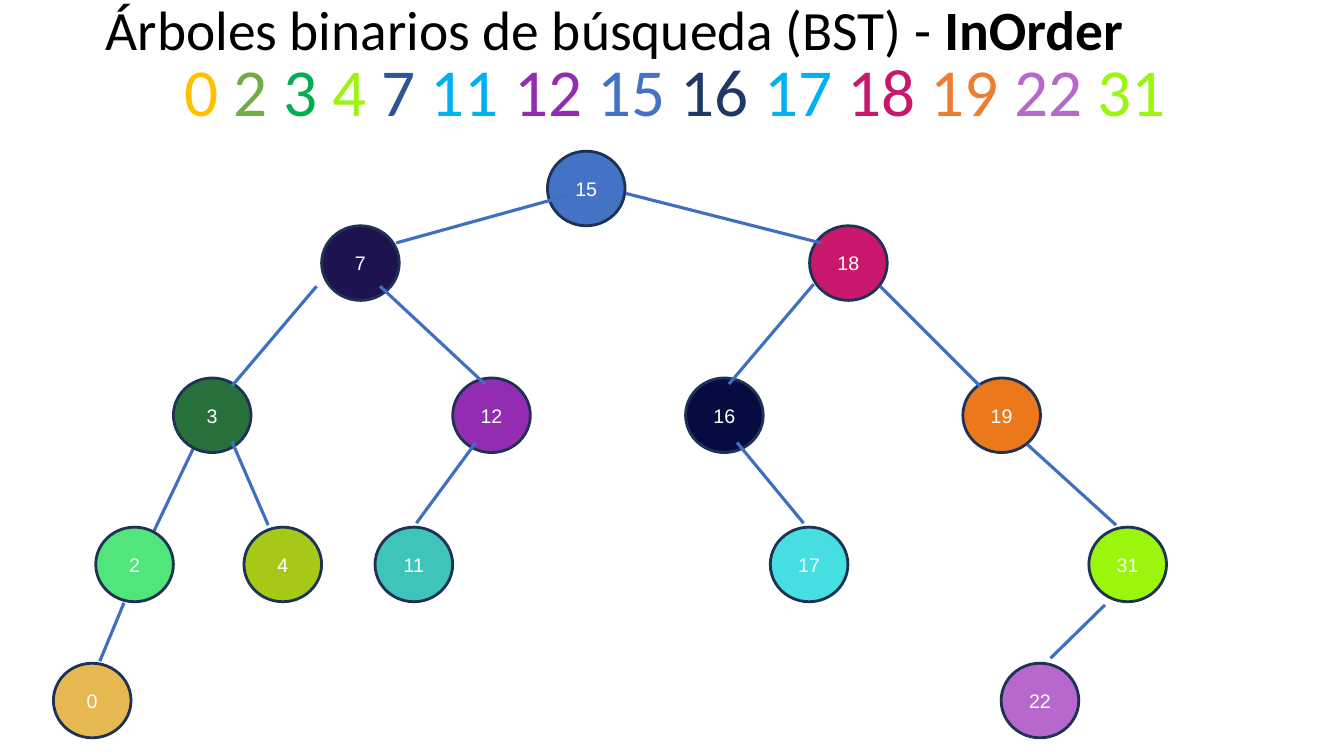
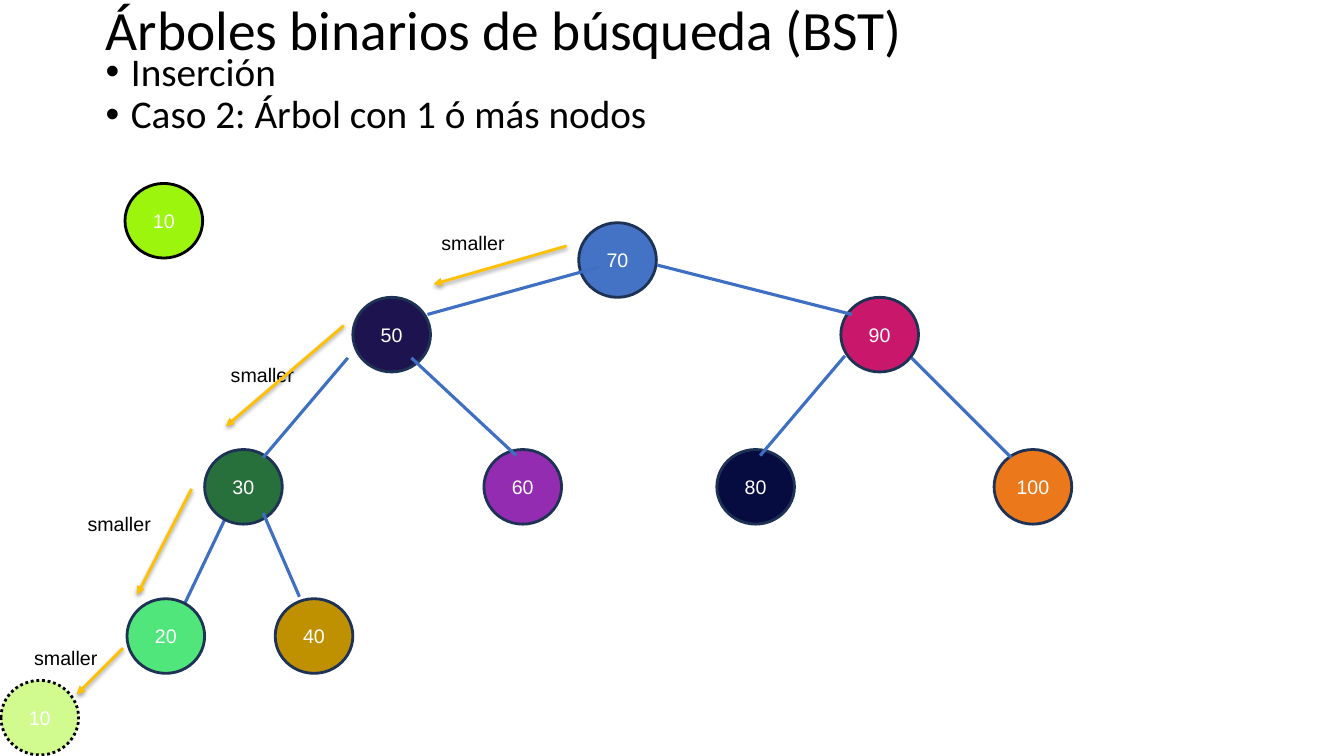
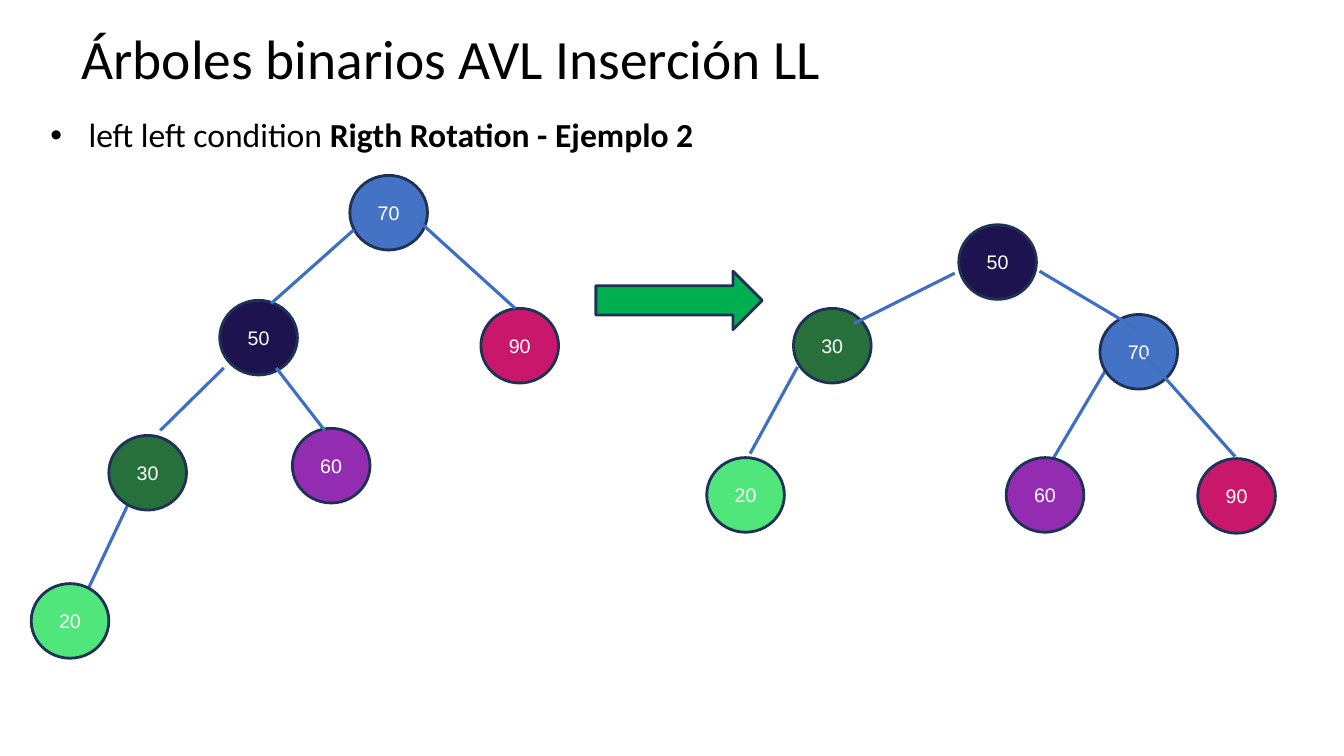
import pptx
import pptx.dml.color
import pptx.enum.dml
import pptx.enum.shapes
import pptx.enum.text
import pptx.oxml
import pptx.oxml.ns
import pptx.util
from lxml import etree

RGB = pptx.dml.color.RGBColor
SHAPE = pptx.enum.shapes.MSO_SHAPE
ALIGN = pptx.enum.text.PP_ALIGN
ANCHOR = pptx.enum.text.MSO_ANCHOR
PT = pptx.util.Pt
QN = pptx.oxml.ns.qn

SCALE = 9144
NODE_WIDTH, NODE_HEIGHT = 77, 74

BLACK = RGB(0x00, 0x00, 0x00)
WHITE = RGB(0xFF, 0xFF, 0xFF)
OUTLINE = RGB(0x1E, 0x32, 0x56)
EDGE = RGB(0x3F, 0x6F, 0xC3)
BLUE = RGB(0x44, 0x72, 0xC4)
STEEL = RGB(0x2F, 0x55, 0x97)
NAVY = RGB(0x20, 0x38, 0x64)
MIDNIGHT = RGB(0x06, 0x0B, 0x40)
INDIGO = RGB(0x1D, 0x14, 0x4F)
CRIMSON = RGB(0xC9, 0x18, 0x6B)
PURPLE = RGB(0x93, 0x2C, 0xB0)
LILAC = RGB(0xB6, 0x68, 0xCC)
FOREST = RGB(0x27, 0x70, 0x3C)
GREEN = RGB(0x00, 0xB0, 0x50)
LEAF = RGB(0x70, 0xAD, 0x47)
MINT = RGB(0x50, 0xE6, 0x7B)
OLIVE = RGB(0xA6, 0xC9, 0x18)
LIME = RGB(0x9C, 0xF5, 0x0C)
TEAL = RGB(0x3F, 0xC4, 0xB9)
CYAN = RGB(0x46, 0xDE, 0xE0)
SKY = RGB(0x00, 0xB0, 0xF0)
ORANGE = RGB(0xEB, 0x78, 0x1A)
PUMPKIN = RGB(0xED, 0x7D, 0x31)
SAND = RGB(0xE6, 0xB9, 0x50)
BRONZE = RGB(0xBF, 0x90, 0x00)
GOLD = RGB(0xFF, 0xC0, 0x00)

TITLE = {"name": "Calibri", "size": PT(39.6)}
SEQUENCE = {"name": "Calibri", "size": PT(48)}
BODY = {"name": "Calibri", "size": PT(28)}
SMALL_BODY = {"name": "Calibri", "size": PT(24)}
LABEL = {"name": "Arial", "size": PT(14)}
BOLD = {"bold": True}

BASE_NODES = [
    (543, 150, BLUE), (803, 224, CRIMSON), (680, 375, MIDNIGHT),
    (449, 375, PURPLE), (172, 375, FOREST), (319, 224, INDIGO),
    (955, 375, ORANGE), (95, 523, MINT),
]
BASE_BEHIND = (195, 438, 145, 543)
BASE_EDGES = [
    (563, 194, 393, 241), (314, 284, 230, 383), (230, 438, 266, 521),
    (377, 284, 481, 381), (621, 192, 814, 241), (807, 282, 723, 381),
    (873, 284, 972, 383),
]
VALUE_FILLS = {70: BLUE, 90: CRIMSON, 60: PURPLE, 30: FOREST, 50: INDIGO, 20: MINT}

SHADOW = (
    '<a:effectLst xmlns:a="http://schemas.openxmlformats.org/drawingml/2006/main">'
    '<a:outerShdw blurRad="40000" dist="20000" dir="5400000" rotWithShape="0">'
    '<a:srgbClr val="000000"><a:alpha val="38000"/></a:srgbClr>'
    '</a:outerShdw></a:effectLst>'
)


def px(*lengths):
    return [pptx.util.Emu(length * SCALE) for length in lengths]


def write(para, text, color, *formats):
    span = para.add_run()
    span.text = text
    for values in formats:
        for name, value in values.items():
            setattr(span.font, name, value)
    span.font.color.rgb = color


def add_box(page, place, anchor=ANCHOR.TOP):
    box = page.shapes.add_textbox(*px(*place))
    frame = box.text_frame
    frame.word_wrap = True
    frame.vertical_anchor = anchor
    return frame


def add_title(page, left, top, text, bold_text=""):
    para = add_box(page, (left, top, 1147, 62), ANCHOR.MIDDLE).paragraphs[0]
    para.line_spacing = 0.9
    write(para, text, BLACK, TITLE)
    if bold_text:
        write(para, bold_text, BLACK, TITLE, BOLD)


def add_sequence(page, place, numbers):
    para = add_box(page, place, ANCHOR.MIDDLE).paragraphs[0]
    para.alignment = ALIGN.CENTER
    para.line_spacing = 0.9
    last = len(numbers) - 1
    for index, (number, color) in enumerate(numbers):
        write(para, f"{number} " if index < last else str(number), color, SEQUENCE)


def add_bullets(page, place, indent, style, items):
    frame = add_box(page, place)
    for index, (text, bold_text) in enumerate(items):
        para = frame.add_paragraph() if index else frame.paragraphs[0]
        para.alignment = ALIGN.JUSTIFY
        para.line_spacing = 0.9
        props = para._p.get_or_add_pPr()
        props.set("marL", str(indent * SCALE))
        props.set("indent", str(-indent * SCALE))
        color = etree.SubElement(props, QN("a:buClr"))
        etree.SubElement(color, QN("a:srgbClr"), val=str(BLACK))
        etree.SubElement(props, QN("a:buFont"), typeface="Arial")
        etree.SubElement(props, QN("a:buChar"), char="•")
        write(para, text, BLACK, style)
        if bold_text:
            write(para, bold_text, BLACK, style, BOLD)


def add_label(page, left, top, text):
    frame = add_box(page, (left, top, 104, 34))
    frame.auto_size = pptx.enum.text.MSO_AUTO_SIZE.SHAPE_TO_FIT_TEXT
    write(frame.paragraphs[0], text, BLACK, LABEL)


def add_solid(page, kind, place, fill, outline=OUTLINE):
    shape = page.shapes.add_shape(kind, *px(*place))
    shape.shadow.inherit = False
    shape.fill.solid()
    shape.fill.fore_color.rgb = fill
    shape.line.color.rgb = outline
    shape.line.width = PT(2)
    return shape


def add_node(page, value, left, top, fill, outline=OUTLINE):
    place = (left, top, NODE_WIDTH, NODE_HEIGHT)
    shape = add_solid(page, SHAPE.FLOWCHART_CONNECTOR, place, fill, outline)
    frame = shape.text_frame
    frame.word_wrap = False
    frame.vertical_anchor = ANCHOR.MIDDLE
    para = frame.paragraphs[0]
    para.alignment = ALIGN.CENTER
    write(para, str(value), WHITE, LABEL)
    return shape


def add_ghost_node(page, value, left, top, fill):
    shape = add_node(page, value, left, top, fill, BLACK)
    shape.line.dash_style = pptx.enum.dml.MSO_LINE.ROUND_DOT
    color = shape._element.spPr.find(QN("a:solidFill")).find(QN("a:srgbClr"))
    etree.SubElement(color, QN("a:alpha"), val="46000")


def add_line(page, ends, color, width):
    line = page.shapes.add_connector(pptx.enum.shapes.MSO_CONNECTOR.STRAIGHT, *px(*ends))
    line.line.color.rgb = color
    line.line.width = PT(width)
    return line


def add_edge(page, ends):
    line = add_line(page, ends, EDGE, 2.25)
    etree.SubElement(line._element.spPr, QN("a:effectLst"))


def add_step_arrow(page, ends):
    line = add_line(page, ends, GOLD, 2)
    props = line._element.spPr
    etree.SubElement(props.find(QN("a:ln")), QN("a:tailEnd"), type="triangle")
    props.append(pptx.oxml.parse_xml(SHADOW))


def add_tree(page, nodes, behind, edges):
    add_edge(page, behind)
    for node in nodes:
        add_node(page, *node)
    for ends in edges:
        add_edge(page, ends)


def add_base_tree(page, values, right=0, down=0, nodes=(), edges=()):
    def shift(ends):
        return [length + move for length, move in zip(ends, (right, down) * 2)]

    base = [
        (value, left + right, top + down, fill)
        for value, (left, top, fill) in zip(values, BASE_NODES)
    ]
    base_edges = [shift(ends) for ends in BASE_EDGES]
    add_tree(page, base + list(nodes), shift(BASE_BEHIND), base_edges + list(edges))


def add_value_tree(page, places, behind, edges):
    nodes = [(value, *place, VALUE_FILLS[value]) for value, place in places.items()]
    add_tree(page, nodes, behind, edges)


def build_in_order(page):
    add_title(page, 95, 1, "Árboles binarios de búsqueda (BST) - ", "InOrder")
    add_base_tree(
        page, [15, 18, 16, 12, 3, 7, 19, 2],
        nodes=[
            (0, 53, 658, SAND), (4, 242, 523, OLIVE), (11, 372, 523, TEAL),
            (22, 993, 658, LILAC), (31, 1080, 523, LIME), (17, 764, 523, CYAN),
        ],
        edges=[
            (123, 598, 99, 656), (472, 439, 413, 519), (1019, 441, 1107, 521),
            (731, 439, 797, 519), (1096, 600, 1042, 653),
        ],
    )
    add_sequence(page, (96, 63, 1147, 62), [
        (0, GOLD), (2, LEAF), (3, GREEN), (4, LIME), (7, STEEL), (11, SKY),
        (12, PURPLE), (15, BLUE), (16, NAVY), (17, SKY), (18, CRIMSON),
        (19, PUMPKIN), (22, LILAC), (31, LIME),
    ])


def build_insertion(page):
    add_title(page, 95, 1, "Árboles binarios de búsqueda (BST)")
    add_bullets(page, (95, 47, 1161, 605), 25, BODY, [
        ("Inserción", ""), ("Caso 2: Árbol con 1 ó más nodos", ""),
    ])
    add_base_tree(
        page, [70, 90, 80, 60, 30, 50, 100, 20], 31, 71,
        nodes=[(40, 273, 594, BRONZE)],
    )
    add_node(page, 10, 124, 182, LIME, BLACK)
    steps = [
        (428, 224, (562, 244, 430, 282)), (219, 355, (341, 323, 224, 423)),
        (77, 503, (190, 485, 136, 590)), (24, 636, (122, 643, 76, 689)),
    ]
    for left, top, ends in steps:
        add_label(page, left, top, "smaller")
        add_step_arrow(page, ends)
    add_ghost_node(page, 10, 1, 675, LIME)


def build_rotation(page):
    add_title(page, 71, 30, "Árboles binarios AVL Inserción LL")
    add_bullets(page, (40, 113, 1158, 61), 38, SMALL_BODY, [
        ("left left condition ", "Rigth Rotation - Ejemplo 2"),
    ])
    add_value_tree(
        page,
        {70: (1091, 312), 90: (1188, 455), 60: (998, 454),
         30: (787, 306), 50: (951, 223), 20: (701, 454)},
        (1105, 353, 1035, 471),
        [(947, 271, 847, 321), (791, 364, 744, 450),
         (1137, 354, 1225, 453), (1031, 269, 1127, 326)],
    )
    add_value_tree(
        page,
        {70: (347, 174), 90: (477, 306), 60: (290, 425),
         30: (108, 432), 50: (218, 298), 20: (31, 579)},
        (130, 494, 80, 600),
        [(351, 228, 269, 301), (222, 365, 159, 427),
         (274, 365, 322, 427), (415, 219, 511, 306)],
    )
    add_solid(page, SHAPE.RIGHT_ARROW, (591, 269, 165, 58), GREEN)


def main():
    deck = pptx.Presentation()
    deck.slide_width, deck.slide_height = px(1333, 750)
    for build in (build_in_order, build_insertion, build_rotation):
        build(deck.slides.add_slide(deck.slide_layouts[6]))
    deck.save("out.pptx")


if __name__ == "__main__":
    main()
